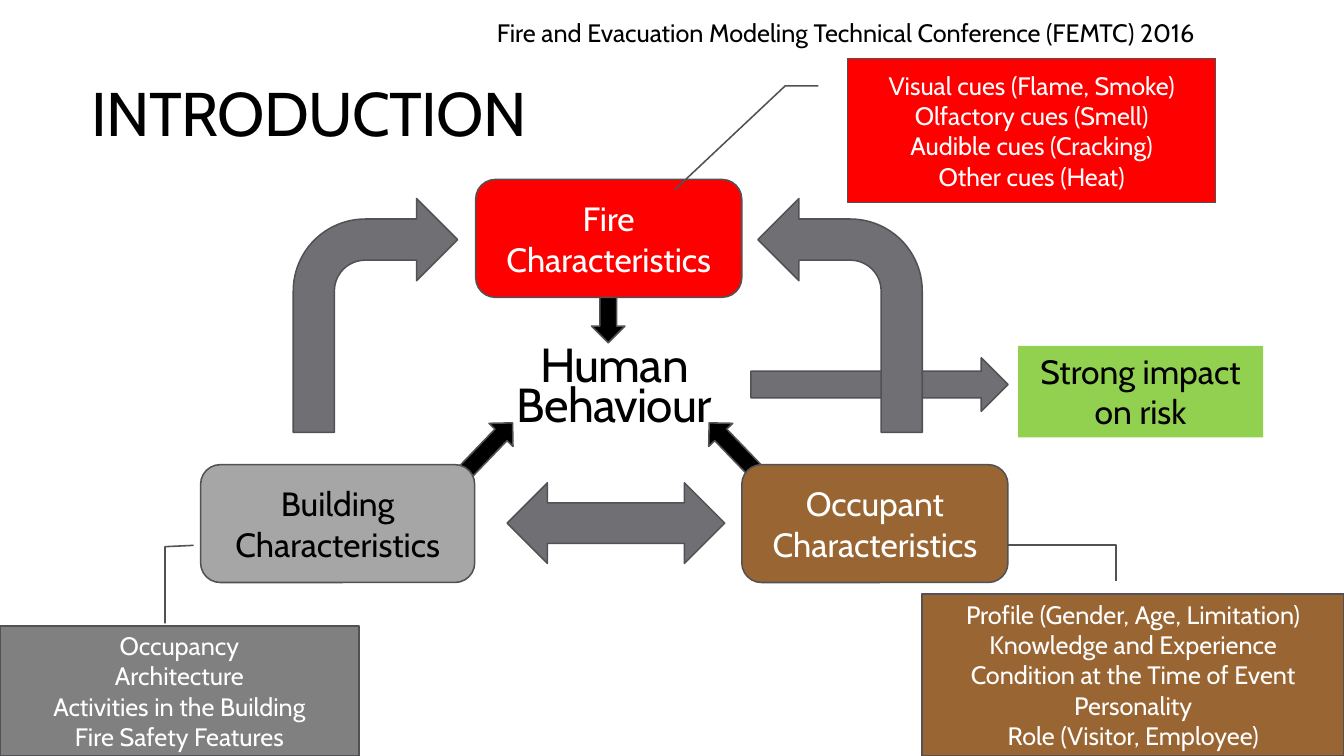
from pptx import Presentation
from pptx.dml.color import RGBColor
from pptx.enum.shapes import MSO_SHAPE
from pptx.enum.text import MSO_ANCHOR, PP_ALIGN
from pptx.util import Pt

BLACK = RGBColor(0x00, 0x00, 0x00)
WHITE = RGBColor(0xFF, 0xFF, 0xFF)
RED = RGBColor(0xFF, 0x00, 0x00)
BROWN = RGBColor(0x99, 0x66, 0x33)
GREEN = RGBColor(0x92, 0xD0, 0x50)
LIGHT_GREY = RGBColor(0xA6, 0xA6, 0xA6)
MID_GREY = RGBColor(0x80, 0x80, 0x80)
ARROW_GREY = RGBColor(0x6F, 0x6F, 0x74)
OUTLINE = RGBColor(0x52, 0x52, 0x56)

RECTANGLE = MSO_SHAPE.RECTANGLE
ROUNDED = MSO_SHAPE.ROUNDED_RECTANGLE
CALLOUT = MSO_SHAPE.LINE_CALLOUT_2
RIGHT_ARROW = MSO_SHAPE.RIGHT_ARROW
DOWN_ARROW = MSO_SHAPE.DOWN_ARROW
BENT_ARROW = MSO_SHAPE.BENT_ARROW
DOUBLE_ARROW = MSO_SHAPE.LEFT_RIGHT_ARROW
TOP, MIDDLE, BOTTOM = MSO_ANCHOR.TOP, MSO_ANCHOR.MIDDLE, MSO_ANCHOR.BOTTOM
LEFT, CENTER = PP_ALIGN.LEFT, PP_ALIGN.CENTER


class SlideBuilder:
    font = "Cabin"
    line_width = 1.1

    def __init__(self, page):
        self.page = page

    def fill_text(self, shape, text, size, color, align=CENTER, anchor=MIDDLE,
                  line_spacing=None, tracking=None):
        frame = shape.text_frame
        frame.text = text
        frame.word_wrap = True
        frame.vertical_anchor = anchor
        for para in frame.paragraphs:
            para.alignment = align
            if line_spacing:
                para.line_spacing = line_spacing
            for span in para.runs:
                span.font.name = self.font
                span.font.size = Pt(size)
                span.font.color.rgb = color
                if tracking:
                    span.font._element.set("spc", str(tracking))

    def text(self, place, text, size, **style):
        box = self.page.shapes.add_textbox(*map(Pt, place))
        self.fill_text(box, text, size, BLACK, **style)

    def shape(self, kind, place, fill, outlined=True):
        shape = self.page.shapes.add_shape(kind, *map(Pt, place))
        shape.shadow.inherit = False
        shape.fill.solid()
        shape.fill.fore_color.rgb = fill
        if outlined:
            shape.line.color.rgb = OUTLINE
            shape.line.width = Pt(self.line_width)
        else:
            shape.line.fill.background()
        return shape

    def arrow(self, kind, place, fill, rotation=0, mirrored=False):
        arrow = self.shape(kind, place, fill)
        arrow.rotation = rotation
        if mirrored:
            arrow.element.spPr.xfrm.set("flipH", "1")

    def node(self, place, fill, text, color):
        self.fill_text(self.shape(ROUNDED, place, fill), text, 24, color)

    def callout(self, place, fill, lines, leader):
        """Leader holds y, x fractions of the box for each point of the line."""
        box = self.shape(CALLOUT, place, fill)
        for index, value in enumerate(leader):
            box.adjustments[index] = value
        self.fill_text(box, "\n".join(lines), 18, WHITE)


def main():
    deck = Presentation()
    deck.slide_width, deck.slide_height = Pt(960), Pt(540)
    builder = SlideBuilder(deck.slides.add_slide(deck.slide_layouts[6]))

    # Impact on risk
    builder.arrow(RIGHT_ARROW, (536.4, 255.6, 183.6, 38.2), ARROW_GREY)
    impact = builder.shape(RECTANGLE, (727.2, 247, 175, 65.5), GREEN, outlined=False)
    builder.fill_text(impact, "Strong impact on risk", 24, BLACK, anchor=TOP)

    # Title and conference name
    builder.text((58.3, 41.8, 394.6, 69.1), "INTRODUCTION", 44, align=LEFT,
                 anchor=BOTTOM, line_spacing=0.9, tracking=-50)
    builder.text((347.8, 8.6, 564.5, 28.8),
                 "Fire and Evacuation Modeling Technical Conference (FEMTC) 2016",
                 18, align=LEFT, anchor=TOP)

    # Black arrows towards the centre
    for left, top, rotation in ((513.4, 294.5, 136.1), (335.5, 294.5, 223.9),
                                (422.6, 190.8, 0)):
        builder.arrow(DOWN_ARROW, (left, top, 23.8, 54), BLACK, rotation)

    # Centre and the three characteristics
    builder.node((339.8, 128.2, 190.1, 84.2), RED, "Fire\nCharacteristics", WHITE)
    builder.text((356.4, 235.4, 164.9, 75.6), "Human\nBehaviour", 34.1,
                 anchor=BOTTOM, line_spacing=0.7, tracking=-50)
    builder.node((529.9, 331.9, 190.1, 84.2), BROWN, "Occupant Characteristics", WHITE)
    builder.node((143.3, 331.9, 195.8, 84.2), LIGHT_GREY, "Building Characteristics", BLACK)

    # Grey arrows between the characteristics
    for left, mirrored in ((209.5, False), (541.4, True)):
        builder.arrow(BENT_ARROW, (left, 141.8, 117.4, 167), ARROW_GREY, mirrored=mirrored)
    builder.arrow(DOUBLE_ARROW, (362.2, 344.9, 155.5, 57.6), ARROW_GREY)

    # Callouts with details
    builder.callout((605.5, 41.8, 262.8, 103), RED,
                    ("Visual cues (Flame, Smoke)", "Olfactory cues (Smell)",
                     "Audible cues (Cracking)", "Other cues (Heat)"),
                    (0.19, -0.08, 0.19, -0.17, 0.91, -0.47))
    builder.callout((658.8, 424.1, 301.2, 115.9), BROWN,
                    ("Profile (Gender, Age, Limitation)", "Knowledge and Experience",
                     "Condition at the Time of Event", "Personality",
                     "Role (Visitor, Employee)"),
                    (-0.08, 0.46, -0.3, 0.46, -0.3, 0.2))
    builder.callout((0, 447.1, 256.3, 92.9), MID_GREY,
                    ("Occupancy", "Architecture", "Activities in the Building",
                     "Fire Safety Features"),
                    (-0.02, 0.46, -0.61, 0.46, -0.62, 0.54))

    deck.save("out.pptx")


if __name__ == "__main__":
    main()
